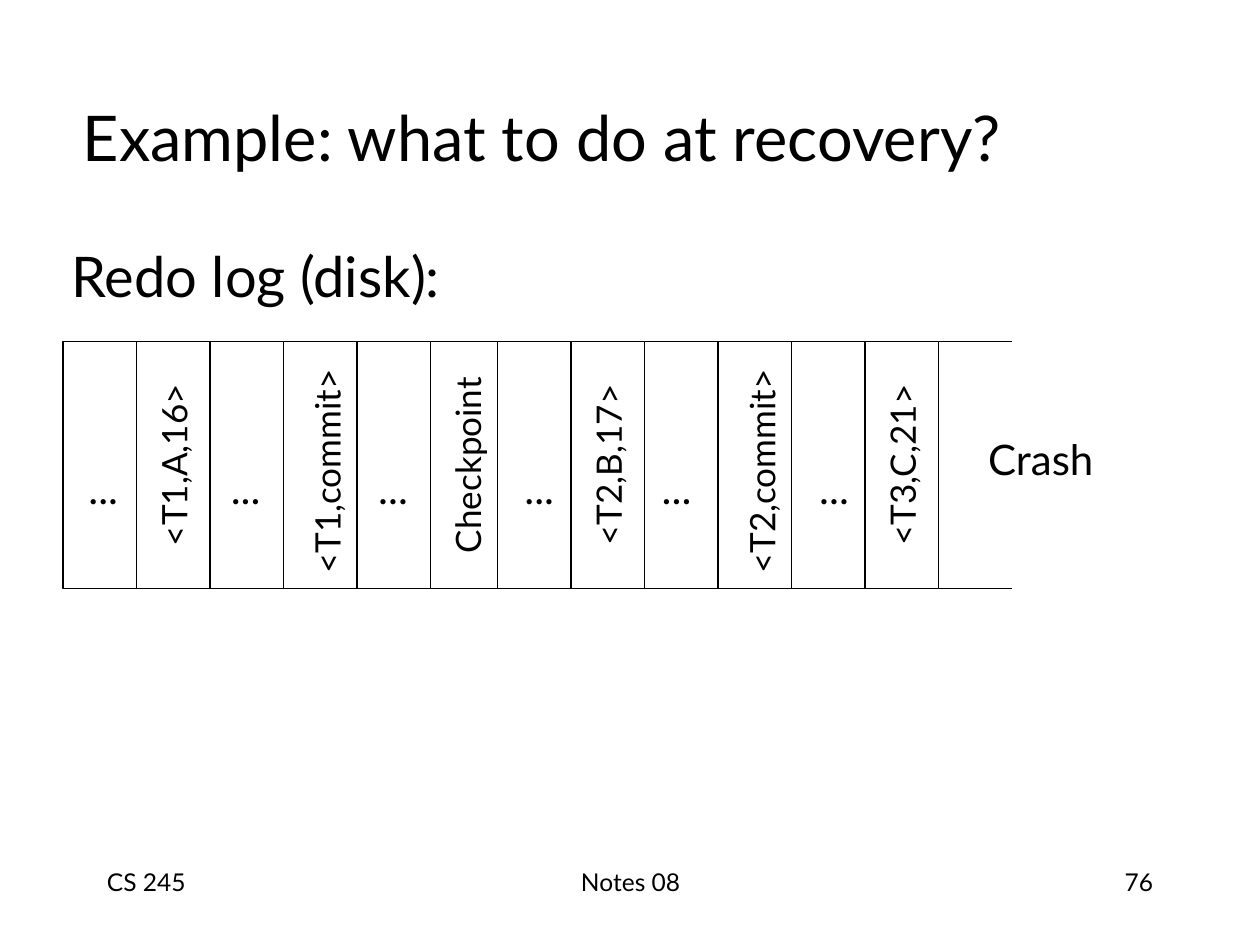
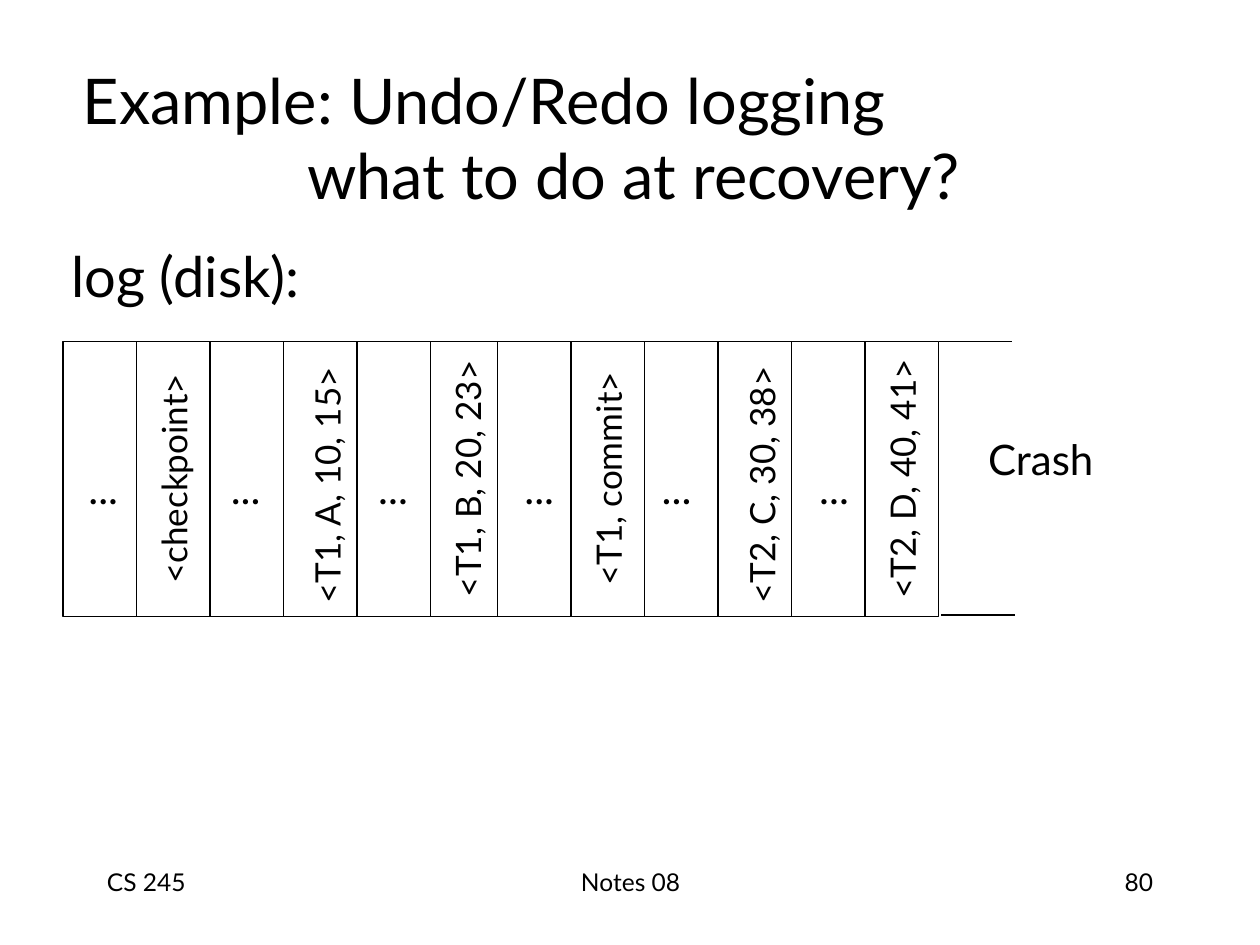
from pptx import Presentation
from pptx.dml.color import RGBColor
from pptx.enum.shapes import MSO_CONNECTOR, MSO_SHAPE
from pptx.enum.text import MSO_ANCHOR, PP_ALIGN
from pptx.oxml.ns import qn
from pptx.util import Inches, Pt
from lxml import etree

FONT, INK, PAPER = "Lato", "000000", "FFFFFF"
LEFT, CENTER, RIGHT = PP_ALIGN.LEFT, PP_ALIGN.CENTER, PP_ALIGN.RIGHT

# Log strip: two groups of six records
LOG_LEFT, LOG_TOP = 0.5, 2.71
GROUP_STEP, GROUP_SIZE = 3.45, 6
CELL_W = 3.5 / GROUP_SIZE
OPEN_END = LOG_LEFT + GROUP_STEP + GROUP_SIZE * CELL_W
DOT_CENTERS = [0.82, 1.95, 3.12, 4.28, 5.37, 6.62]


def color(hex_code):
    return RGBColor.from_string(hex_code)


def write(shape, lines, size, align=LEFT, anchor=MSO_ANCHOR.TOP, wrap=True, inset=None):
    """Write (text, left margin) lines into a shape."""
    tf = shape.text_frame
    margins = {"margin_left": 0.1, "margin_right": 0.1,
               "margin_top": 0.05, "margin_bottom": 0.05, **(inset or {})}
    for name, value in margins.items():
        setattr(tf, name, Inches(value))
    for name, value in {"word_wrap": wrap, "vertical_anchor": anchor}.items():
        setattr(tf, name, value)
    for i, (text, indent) in enumerate(lines):
        p = tf.paragraphs[0] if i == 0 else tf.add_paragraph()
        p.alignment = align
        if indent:
            p._p.get_or_add_pPr().set("marL", str(Inches(indent)))
        r = p.add_run()
        r.text = text
        for name, value in {"name": FONT, "size": Pt(size)}.items():
            setattr(r.font, name, value)
        r.font.color.rgb = color(INK)


def add_text(s, box, lines, size, **style):
    write(s.shapes.add_textbox(*map(Inches, box)), lines, size, **style)


def add_centered(s, center, top, width, text):
    add_text(s, (center - width / 2, top, width, 0.5), [(text, 0)], 24,
             align=CENTER, anchor=MSO_ANCHOR.MIDDLE, wrap=False)


def add_line(s, x, y, length):
    line = s.shapes.add_connector(MSO_CONNECTOR.STRAIGHT, Inches(x), Inches(y),
                                  Inches(x + length), Inches(y))
    line.line.color.rgb = color(INK)
    line.line.width = Pt(0.75)
    etree.SubElement(line._element.spPr, qn("a:effectLst"))


def add_record(group, left, top, height, text, inset):
    """One log record: a rectangle turned so that its text reads upwards."""
    sp = group.shapes.add_shape(
        MSO_SHAPE.RECTANGLE, Inches(left + (CELL_W - height) / 2),
        Inches(top + (height - CELL_W) / 2), Inches(height), Inches(CELL_W))
    sp.rotation = 270
    sp.shadow.inherit = False
    sp.fill.solid()
    sp.fill.fore_color.rgb = color(PAPER)
    sp.line.color.rgb = color(INK)
    sp.line.width = Pt(0.75)
    if text:
        write(sp, [(text, 0)], 20, align=CENTER, anchor=MSO_ANCHOR.MIDDLE,
              wrap=False, inset=inset)


def add_log(s, records, height, end_shift):
    # Every second cell holds a record, the others are skipped parts of the log
    half = len(records) // 2
    for g in range(2):
        group = s.shapes.add_group_shape()
        for i in range(GROUP_SIZE):
            text = records[g * half + i // 2] if i % 2 else ""
            # The middle record of each group sits slightly off centre
            inset = {"margin_top": 0.15, "margin_right": 0.2} if i == 3 else None
            add_record(group, LOG_LEFT + g * GROUP_STEP + i * CELL_W,
                       LOG_TOP, height, text, inset)

    # Open end of the log
    add_line(s, OPEN_END, LOG_TOP, CELL_W)
    add_line(s, OPEN_END + end_shift, LOG_TOP + height - end_shift / 2, CELL_W)
    add_centered(s, 8.26, 3.39, 1.1, "Crash")
    for center in DOT_CENTERS:
        add_centered(s, center, 3.62, 0.5, "...")


def add_footer(s, number):
    for left, width, text, align in [(0.75, 2.08, "CS 245", LEFT),
                                     (3.42, 3.17, "Notes 08", CENTER),
                                     (7.17, 2.08, number, RIGHT)]:
        add_text(s, (left, 6.83, width, 0.5), [(text, 0)], 14, align=align)


def add_log_slide(prs, number, title, label, records, height, end_shift=0):
    s = prs.slides.add_slide(prs.slide_layouts[6])
    add_footer(s, number)
    add_text(s, (0.56, 0.46, 8.5, 1.25), title, 36, anchor=MSO_ANCHOR.MIDDLE)
    add_text(s, (0.47, 1.87, 8.5, 0.7), [(label, 0)], 32)
    add_log(s, records, height, end_shift)


def main():
    prs = Presentation()
    prs.slide_width, prs.slide_height = Inches(10), Inches(7.5)
    add_log_slide(
        prs, "76", [("Example: what to do at recovery?", 0)], "Redo log (disk):",
        ["<T1,A,16>", "<T1,commit>", "Checkpoint",
         "<T2,B,17>", "<T2,commit>", "<T3,C,21>"], 1.96)
    add_log_slide(
        prs, "80", [("Example: Undo/Redo logging", 0), ("what to do at recovery?", 1.78)],
        "log (disk):",
        ["<checkpoint>", "<T1, A, 10, 15>", "<T1, B, 20, 23>",
         "<T1, commit>", "<T2, C, 30, 38>", "<T2, D, 40, 41>"], 2.18, end_shift=0.02)
    prs.save("out.pptx")


if __name__ == "__main__":
    main()
